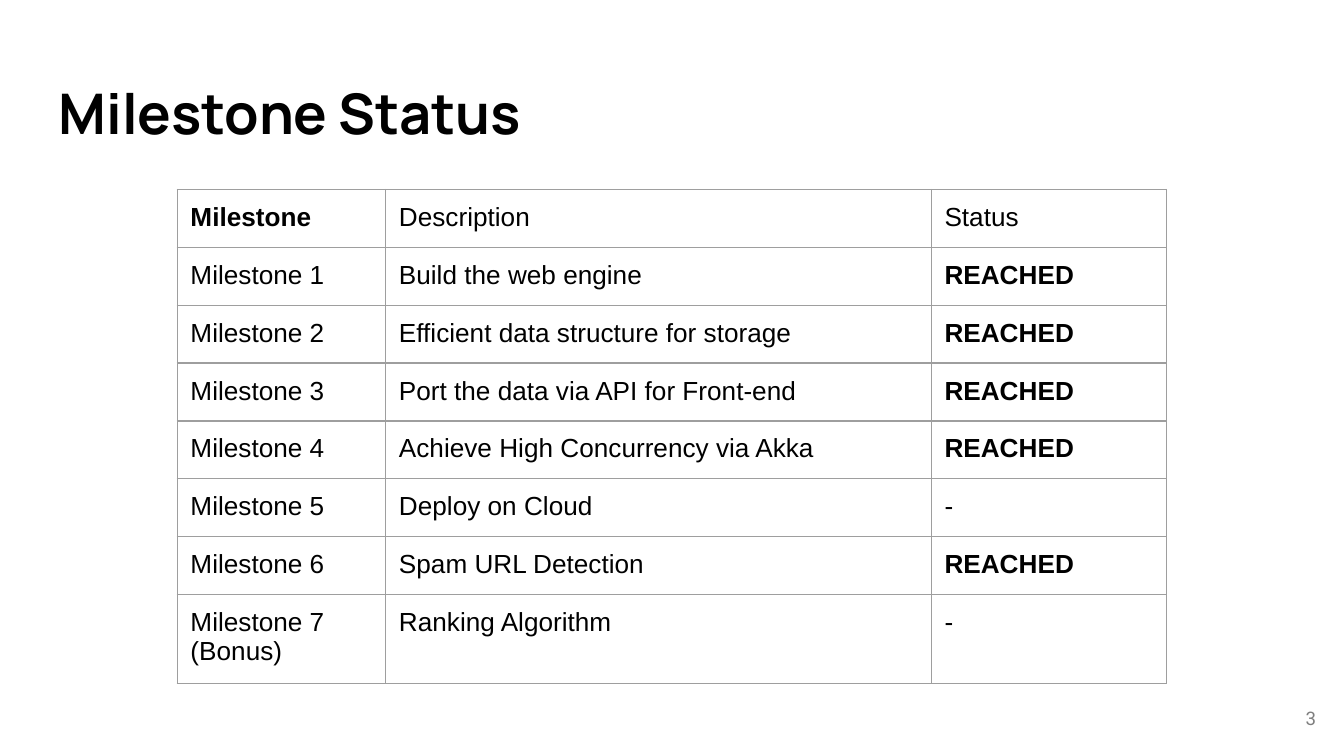
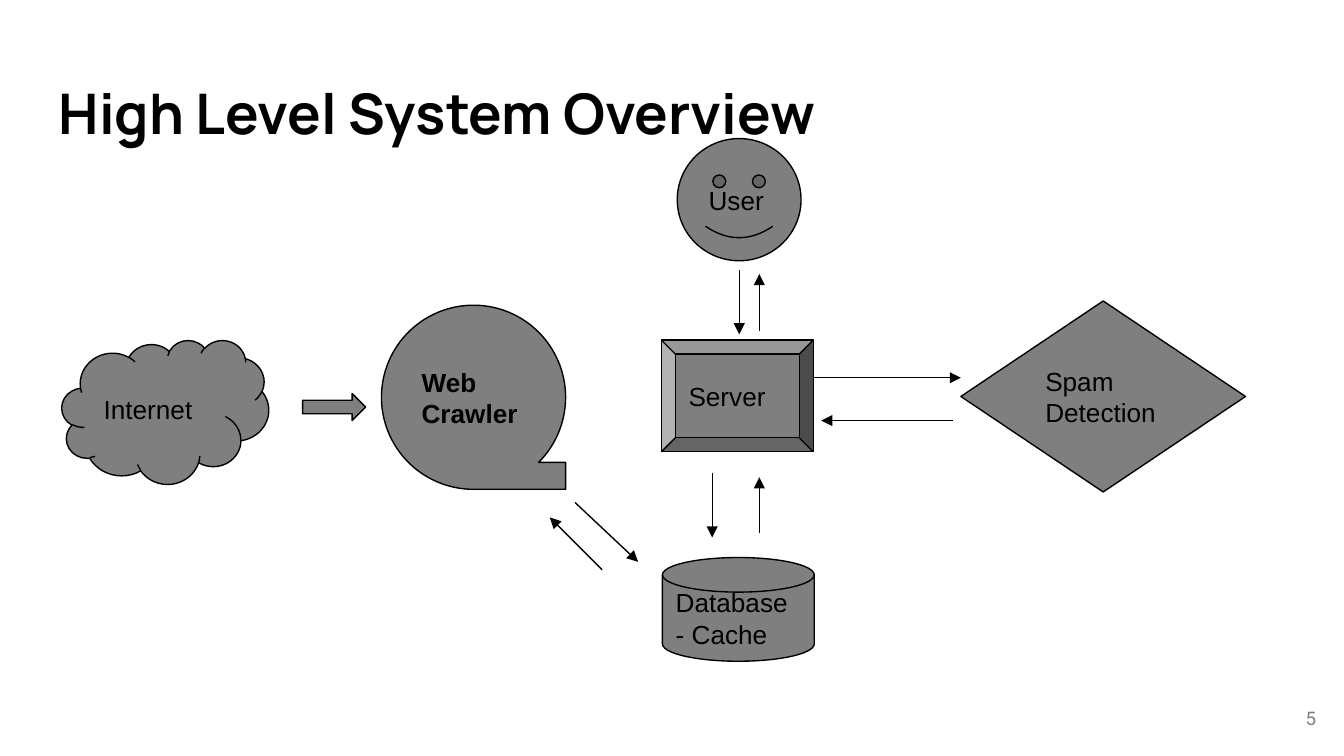
from lxml.etree import SubElement
from pptx import Presentation
from pptx.dml.color import RGBColor
from pptx.enum.shapes import MSO_CONNECTOR, MSO_SHAPE
from pptx.enum.text import MSO_ANCHOR, PP_ALIGN
from pptx.oxml.ns import qn
from pptx.util import Cm, Pt

COLORS = {"ink": "000000", "paper": "FFFFFF", "node": "7F7F7F", "page": "7F7F7F", "grid": "9E9E9E"}
LINE_WIDTH = 0.75
INSET = 0.25

STYLES = {
    "title": {"name": "Manrope", "size": Pt(30), "bold": True},
    "page": {"name": "Roboto", "size": Pt(10), "bold": False},
    "body": {"name": "Arial", "size": Pt(14), "bold": False},
    "strong": {"name": "Arial", "size": Pt(14), "bold": True},
}
STRONG_WORDS = {"Milestone", "REACHED", "Web Crawler"}

MILESTONES = [
    ("Milestone", "Description", "Status"),
    ("Milestone 1", "Build the web engine", "REACHED"),
    ("Milestone 2", "Efficient data structure for storage", "REACHED"),
    ("Milestone 3", "Port the data via API for Front-end", "REACHED"),
    ("Milestone 4", "Achieve High Concurrency via Akka", "REACHED"),
    ("Milestone 5", "Deploy on Cloud", "-"),
    ("Milestone 6", "Spam URL Detection", "REACHED"),
    ("Milestone 7\n(Bonus)", "Ranking Algorithm", "-"),
]
COLUMN_WIDTHS = (3.94, 10.31, 4.45)
ROW_HEIGHT = 1.08

COMPONENTS = [
    ("Database - Cache", MSO_SHAPE.FLOWCHART_MAGNETIC_DISK, (12.52, 10.54, 2.87, 1.96)),
    ("Web Crawler", MSO_SHAPE.FLOWCHART_SEQUENTIAL_ACCESS_STORAGE, (7.21, 5.77, 3.48, 3.48)),
    ("Internet", MSO_SHAPE.CLOUD, (1.17, 6.43, 3.91, 2.72)),
    ("Spam Detection", MSO_SHAPE.DIAMOND, (18.16, 5.69, 5.38, 3.61)),
    ("User", MSO_SHAPE.SMILEY_FACE, (12.8, 2.62, 2.34, 2.31)),
    ("Server", MSO_SHAPE.BEVEL, (12.5, 6.43, 2.87, 2.11)),
    ("", MSO_SHAPE.RIGHT_ARROW, (5.72, 7.44, 1.19, 0.51)),
]
FLOWS = {
    "crawler to database": (10.87, 9.5, 12.06, 10.62),
    "database to crawler": (11.38, 10.77, 10.39, 9.78),
    "server to spam": (15.39, 7.14, 18.16, 7.14),
    "spam to server": (18.01, 7.95, 15.52, 7.95),
    "server to user": (14.35, 6.25, 14.35, 5.18),
    "user to server": (13.97, 5.11, 13.97, 6.32),
    "server to database": (13.46, 8.94, 13.46, 10.16),
    "database to server": (14.35, 10.08, 14.35, 9.02),
}


def rgb(role):
    return RGBColor.from_string(COLORS[role])


def lengths(values):
    return [Cm(value) for value in values]


def write(frame, words, style, color="ink", align=PP_ALIGN.LEFT):
    frame.text = words
    for paragraph in frame.paragraphs:
        paragraph.alignment = align
        for run in paragraph.runs:
            for attribute, value in STYLES[style].items():
                setattr(run.font, attribute, value)
            run.font.color.rgb = rgb(color)


def body_style(words):
    return "strong" if words in STRONG_WORDS else "body"


def set_frame(frame, anchor):
    settings = {"word_wrap": True, "vertical_anchor": anchor}
    settings |= {f"margin_{side}": Cm(INSET) for side in ("left", "top", "right", "bottom")}
    for attribute, value in settings.items():
        setattr(frame, attribute, value)


def add_label(slide, words, box, style, color, anchor, align):
    frame = slide.shapes.add_textbox(*lengths(box)).text_frame
    set_frame(frame, anchor)
    write(frame, words, style, color, align)


def add_page(deck, title, number):
    slide = deck.slides.add_slide(deck.slide_layouts[6])
    slide.background.fill.solid()
    slide.background.fill.fore_color.rgb = rgb("paper")
    add_label(slide, title, (0.86, 1.24, 23.67, 1.73), "title", "ink", MSO_ANCHOR.TOP, PP_ALIGN.LEFT)
    add_label(slide, number, (23.6, 13.03, 1.52, 1.09), "page", "page", MSO_ANCHOR.MIDDLE, PP_ALIGN.RIGHT)
    return slide


def set_borders(cell):
    properties = cell._tc.get_or_add_tcPr()
    for side in ("lnL", "lnR", "lnT", "lnB"):
        border = SubElement(properties, qn(f"a:{side}"), w=str(Pt(LINE_WIDTH)))
        SubElement(SubElement(border, qn("a:solidFill")), qn("a:srgbClr"), val=COLORS["grid"])


def add_milestones(slide):
    size = (sum(COLUMN_WIDTHS), ROW_HEIGHT * len(MILESTONES))
    table = slide.shapes.add_table(
        len(MILESTONES), len(COLUMN_WIDTHS), *lengths((3.35, 3.58, *size))
    ).table
    table.first_row = table.horz_banding = False
    for column, width in zip(table.columns, COLUMN_WIDTHS):
        column.width = Cm(width)
    for row, milestone in zip(table.rows, MILESTONES):
        row.height = Cm(ROW_HEIGHT)
        for cell, words in zip(row.cells, milestone):
            for side in ("left", "top", "right", "bottom"):
                setattr(cell, f"margin_{side}", Cm(INSET))
            set_borders(cell)
            cell.fill.background()
            write(cell.text_frame, words, body_style(words))


def add_component(slide, words, preset, box):
    component = slide.shapes.add_shape(preset, *lengths(box))
    component.shadow.inherit = False
    component.fill.solid()
    component.fill.fore_color.rgb = rgb("node")
    component.line.color.rgb = rgb("ink")
    component.line.width = Pt(LINE_WIDTH)
    if words:
        set_frame(component.text_frame, MSO_ANCHOR.MIDDLE)
        write(component.text_frame, words, body_style(words))


def add_flow(slide, ends):
    flow = slide.shapes.add_connector(MSO_CONNECTOR.STRAIGHT, *lengths(ends))
    flow.line.color.rgb = rgb("ink")
    flow.line.width = Pt(LINE_WIDTH)
    properties = flow._element.spPr
    SubElement(properties.find(qn("a:ln")), qn("a:tailEnd"), type="triangle")
    SubElement(properties, qn("a:effectLst"))


def main():
    deck = Presentation()
    deck.slide_width, deck.slide_height = Cm(25.4), Cm(14.29)
    add_milestones(add_page(deck, "Milestone Status", "3"))
    overview = add_page(deck, "High Level System Overview", "5")
    for component in COMPONENTS:
        add_component(overview, *component)
    for ends in FLOWS.values():
        add_flow(overview, ends)
    deck.save("out.pptx")


if __name__ == "__main__":
    main()
